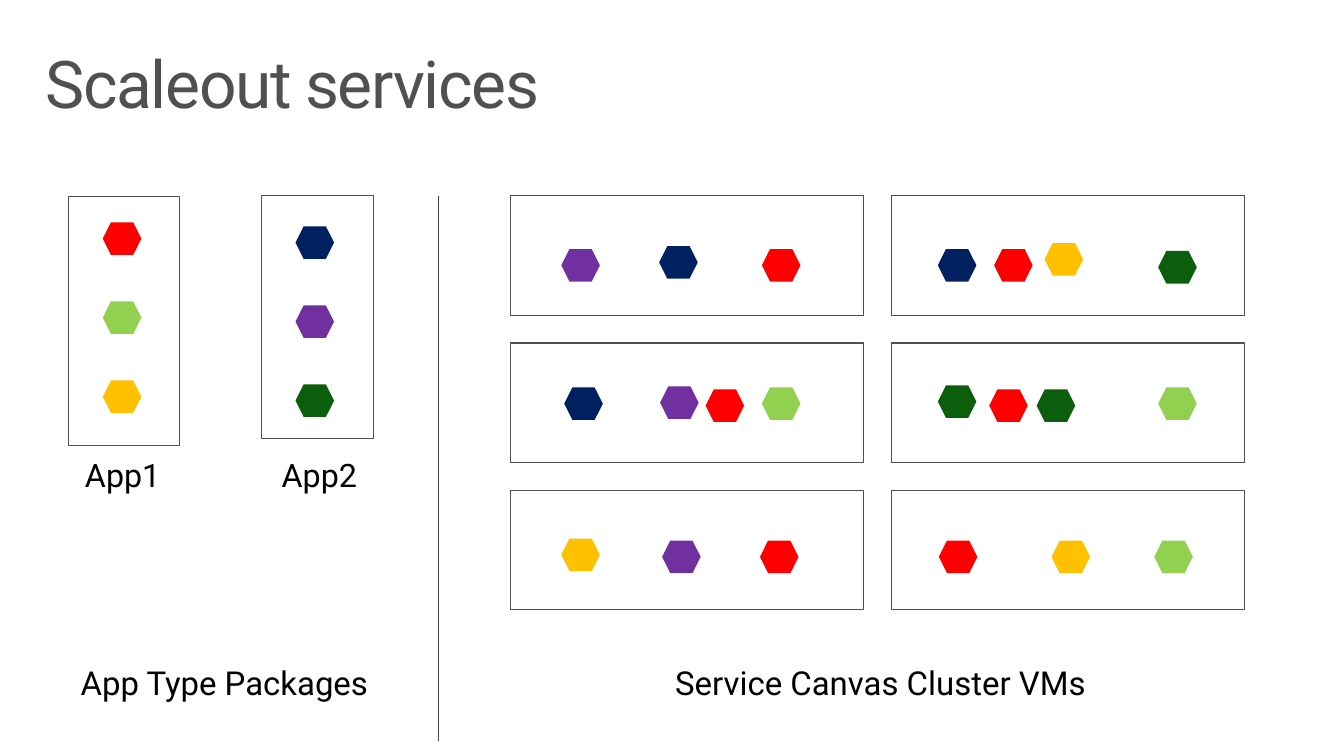
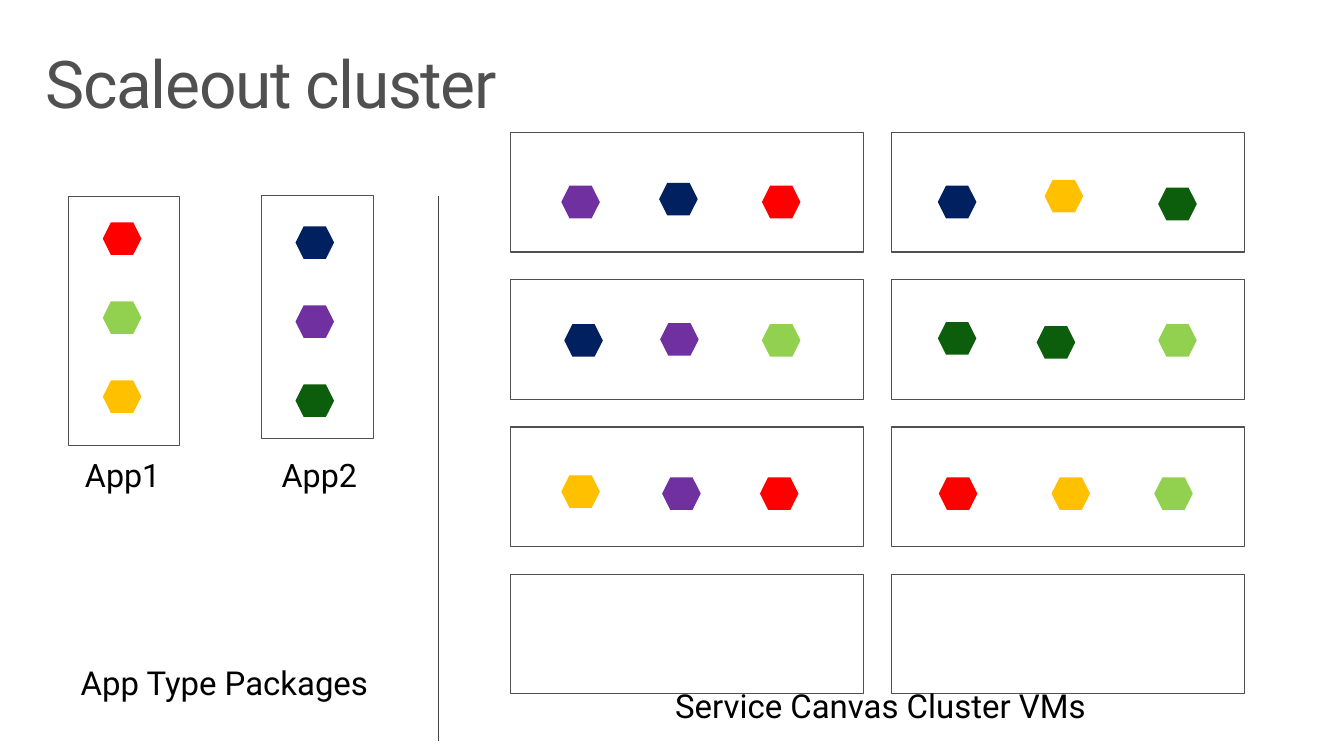
from lxml.etree import SubElement
from pptx import Presentation
from pptx.dml.color import RGBColor
from pptx.enum.shapes import MSO_CONNECTOR as CONNECTOR, MSO_SHAPE as SHAPE
from pptx.enum.text import MSO_ANCHOR as ANCHOR, MSO_AUTO_SIZE as AUTO_SIZE, PP_ALIGN as ALIGN
from pptx.oxml.ns import qn
from pptx.util import Inches, Pt

RED, LIME, AMBER = "FF0000", "92D050", "FFC000"
NAVY, PURPLE, GREEN = "002060", "7030A0", "0C5D0C"

APPS = [
    ("App1", (0.69, 1.99, 1.13, 2.52), 0.66, 1.04, 2.25, (RED, LIME, AMBER)),
    ("App2", (2.65, 1.98, 1.13, 2.46), 2.65, 2.99, 2.29, (NAVY, PURPLE, GREEN)),
]
SERVICE_PITCH = 0.8

VM_LEFT, VM_W, VM_H = 5.17, 3.57, 1.21
VM_PITCH_X, VM_PITCH_Y = 3.85, 1.49

SERVICES = {
    (0, 0): [(PURPLE, 0.51, 0.54), (NAVY, 1.5, 0.51), (RED, 2.54, 0.54)],
    (0, 1): [(NAVY, 0.47, 0.54), (AMBER, 1.55, 0.48), (GREEN, 2.7, 0.56)],
    (1, 0): [(NAVY, 0.54, 0.45), (PURPLE, 1.51, 0.44), (LIME, 2.54, 0.45)],
    (1, 1): [(GREEN, 0.47, 0.43), (GREEN, 1.47, 0.47), (LIME, 2.7, 0.45)],
    (2, 0): [(AMBER, 0.51, 0.49), (PURPLE, 1.53, 0.51), (RED, 2.52, 0.51)],
    (2, 1): [(RED, 0.48, 0.51), (AMBER, 1.62, 0.51), (LIME, 2.66, 0.51)],
}
ADDED_SERVICES = {
    (0, 1): [(RED, 1.04, 0.54)],
    (1, 0): [(RED, 1.97, 0.47)],
    (1, 1): [(RED, 0.99, 0.47)],
}


def rgb(color):
    return RGBColor.from_string(color)


class Deck:
    FONT = "Roboto"
    GRAY, RULE, BLACK, WHITE = "505050", "444444", "000000", "FFFFFF"

    def __init__(self):
        self.prs = Presentation()
        self.prs.slide_width = Inches(13.6)
        self.prs.slide_height = Inches(7.65)
        self.s = None

    def text(self, text, x, y, w, h, size=24, color=BLACK, align=ALIGN.LEFT,
             insets=(0.2, 0.16), after=6, spacing=None, grow=True):
        tf = self.s.shapes.add_textbox(Inches(x), Inches(y), Inches(w), Inches(h)).text_frame
        tf.word_wrap = True
        tf.auto_size = AUTO_SIZE.SHAPE_TO_FIT_TEXT if grow else AUTO_SIZE.NONE
        tf.vertical_anchor = ANCHOR.TOP
        tf.margin_left = tf.margin_right = Inches(insets[0])
        tf.margin_top = tf.margin_bottom = Inches(insets[1])
        p = tf.paragraphs[0]
        p.alignment = align
        p.line_spacing = 0.9
        p.space_after = Pt(after)
        r = p.add_run()
        r.text = text
        r.font.name = self.FONT
        r.font.size = Pt(size)
        r.font.color.rgb = rgb(color)
        if spacing is not None:
            r.font._element.set("spc", str(spacing * 100))

    def slide(self, title):
        self.s = self.prs.slides.add_slide(self.prs.slide_layouts[6])
        self.text(title, 0.3, 0.42, 12.75, 0.98, size=48, color=self.GRAY,
                  insets=(0.16, 0.1), after=0, spacing=-1, grow=False)

    def shape(self, kind, x, y, w, h, fill, line=None):
        sp = self.s.shapes.add_shape(kind, Inches(x), Inches(y), Inches(w), Inches(h))
        sp.shadow.inherit = False
        sp.fill.solid()
        sp.fill.fore_color.rgb = rgb(fill)
        if line:
            sp.line.color.rgb = rgb(line)
            sp.line.width = Pt(0.85)
        else:
            sp.line.fill.background()

    def box(self, x, y, w, h):
        self.shape(SHAPE.RECTANGLE, x, y, w, h, self.WHITE, self.GRAY)

    def service(self, color, x, y):
        self.shape(SHAPE.HEXAGON, x, y, 0.39, 0.33, color)

    def divider(self, x, top, bottom):
        line = self.s.shapes.add_connector(
            CONNECTOR.STRAIGHT, Inches(x), Inches(top), Inches(x), Inches(bottom))
        line.line.color.rgb = rgb(self.RULE)
        line.line.width = Pt(1)
        SubElement(line._element.spPr, qn("a:effectLst"))

    def caption(self, text, x, y, w):
        self.text(text, x, y, w, 0.69, align=ALIGN.CENTER)

    def packages(self):
        for name, frame, label_x, service_x, service_y, colors in APPS:
            self.box(*frame)
            for i, color in enumerate(colors):
                self.service(color, service_x, service_y + i * SERVICE_PITCH)
            self.text(name, label_x, 4.49, 1.31, 0.68, size=23.5, after=5.9)
        self.divider(4.44, 1.98, 7.5)
        self.caption("App Type Packages", 0.3, 6.59, 3.94)

    def cluster(self, top, rows, caption_y, *service_sets):
        for row in range(rows):
            for col in range(2):
                x = VM_LEFT + col * VM_PITCH_X
                y = top + row * VM_PITCH_Y
                self.box(x, y, VM_W, VM_H)
                for services in service_sets:
                    for color, dx, dy in services.get((row, col), []):
                        self.service(color, x + dx, y + dy)
        self.caption("Service Canvas Cluster VMs", 4.78, caption_y, 8.26)


def main():
    deck = Deck()
    deck.slide("Scaleout services")
    deck.packages()
    deck.cluster(1.98, 3, 6.59, SERVICES, ADDED_SERVICES)
    deck.slide("Scaleout cluster")
    deck.packages()
    deck.cluster(1.34, 4, 6.82, SERVICES)
    deck.prs.save("out.pptx")


if __name__ == "__main__":
    main()
